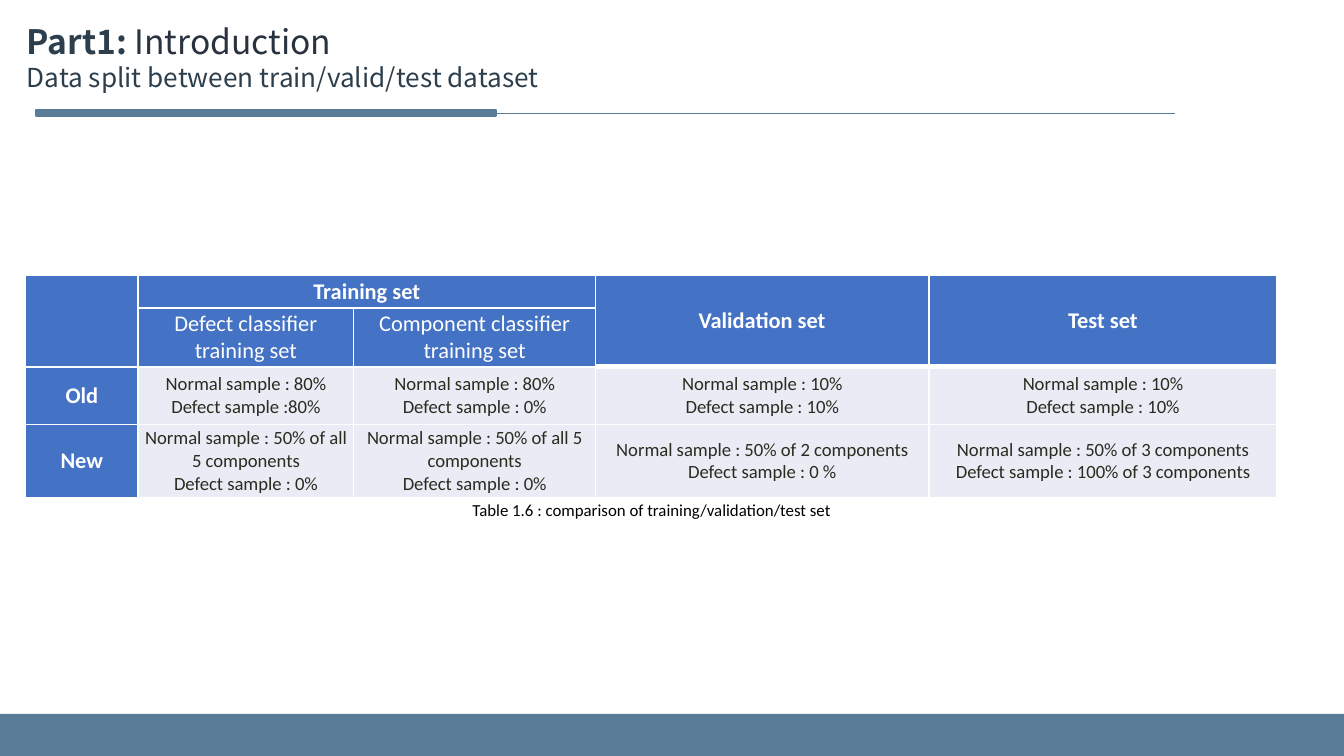
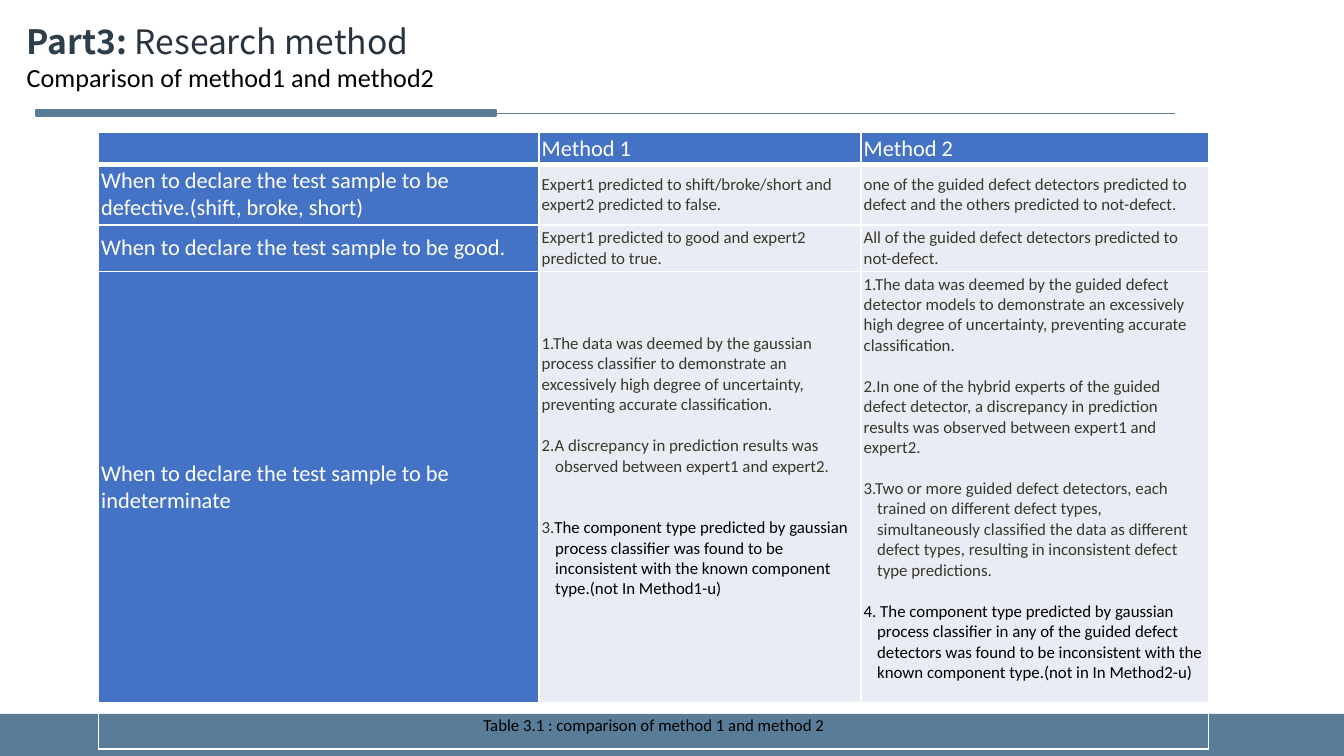
import pptx
import pptx.util
import pptx.dml.color
import pptx.enum.shapes
import pptx.enum.text
import pptx.oxml
import pptx.oxml.ns
from collections import namedtuple
from lxml import etree

Pt = pptx.util.Pt
RGB = pptx.dml.color.RGBColor
qn = pptx.oxml.ns.qn
ALIGN = pptx.enum.text.PP_ALIGN

# Colours and fonts
STEEL = RGB(0x59, 0x7D, 0x98)
SLATE = RGB(0x2D, 0x3F, 0x4C)
INK = RGB(0x29, 0x32, 0x3F)
BLUE = RGB(0x44, 0x72, 0xC4)
PALE = RGB(0xE9, 0xEB, 0xF5)
DARK = RGB(0x29, 0x2C, 0x1F)
OLIVE = RGB(0x36, 0x39, 0x29)
WHITE = RGB(0xFF, 0xFF, 0xFF)
BLACK = RGB(0, 0, 0)
NOTO, BODY = "Noto Sans CJK SC", "Calibri"

WIDE, HIGH = 720, 405
INSET = 1.44
GAP = 11  # one line of 9 pt text

# Text looks
Look = namedtuple("Look", "size color bold font", defaults=(False, BODY))
PART = Look(18, SLATE, True, NOTO)
TITLE = Look(18, INK, False, NOTO)
HEAD = Look(12, WHITE)
STRONG = Look(12, WHITE, True)
DATA = Look(10, DARK)
NOTE = Look(9, OLIVE)
PLAIN = Look(9, BLACK)


def write(para, text, look):
    run = para.add_run()
    run.text = text
    font = run.font
    font.size, font.bold, font.name = Pt(look.size), look.bold, look.font
    font.color.rgb = look.color


def next_para(frame, index):
    return frame.paragraphs[0] if index == 0 else frame.add_paragraph()


# Footer band and the rule under the title
def bar(slide, left, top, width, height, edge=False):
    box = slide.shapes.add_shape(pptx.enum.shapes.MSO_SHAPE.RECTANGLE,
                                 Pt(left), Pt(top), Pt(width), Pt(height))
    box.shadow.inherit = False
    box.fill.solid()
    box.fill.fore_color.rgb = STEEL
    if edge:
        box.line.color.rgb = STEEL
        box.line.width = Pt(1)
    else:
        box.line.fill.background()


def frame(slide):
    bar(slide, 0, HIGH - 22.5, WIDE, 22.5)
    left, top = 19.4, 60.6
    rule = slide.shapes.add_connector(
        pptx.enum.shapes.MSO_CONNECTOR.STRAIGHT,
        Pt(629.3), Pt(top), Pt(left), Pt(top))
    rule.line.color.rgb = STEEL
    rule.line.width = Pt(0.5)
    etree.SubElement(rule._element.spPr, qn("a:effectLst"))
    bar(slide, left, top - 1.8, 246.2, 3.6, edge=True)


def title(slide, box, part, name, sub, look):
    text = slide.shapes.add_textbox(*map(Pt, box)).text_frame
    text.word_wrap = True
    first = text.paragraphs[0]
    write(first, part, PART)
    write(first, name, TITLE)
    write(text.add_paragraph(), sub, look)


# Table parts
def border(cell, thick):
    props = cell._tc.get_or_add_tcPr()
    for side in "LRTB":
        width = thick if side == "B" else 1
        line = etree.SubElement(props, qn("a:ln" + side), w=str(Pt(width)))
        fill = etree.SubElement(line, qn("a:solidFill"))
        etree.SubElement(fill, qn("a:srgbClr"), val=str(WHITE))


def grid(slide, box, cols, rows, thick=()):
    """Add a bordered table; cells listed in thick get a heavy lower edge."""
    table = slide.shapes.add_table(len(rows), len(cols), *map(Pt, box)).table
    table.first_row = table.horz_banding = False
    for col, width in zip(table.columns, cols):
        col.width = Pt(width)
    for r, height in enumerate(rows):
        table.rows[r].height = Pt(height)
        for c in range(len(cols)):
            cell = table.cell(r, c)
            cell.margin_left = cell.margin_right = Pt(INSET)
            cell.margin_top = cell.margin_bottom = Pt(INSET)
            cell.vertical_anchor = pptx.enum.text.MSO_ANCHOR.MIDDLE
            if r < len(rows) - 1 or thick == SPLIT:
                border(cell, 3 if (r, c) in thick else 1)
            # Keeps empty cells from growing their row
            etree.SubElement(cell.text_frame.paragraphs[0]._p,
                             qn("a:endParaRPr"), sz="900")
    return table


def paint(cell, color):
    cell.fill.solid()
    cell.fill.fore_color.rgb = color


def put(cell, lines, look, fill, align=ALIGN.LEFT):
    if fill is None:
        cell.fill.background()
    else:
        paint(cell, fill)
    for i, line in enumerate(lines):
        para = next_para(cell.text_frame, i)
        para.alignment = align
        write(para, line, look)


def items(cell, points, tail):
    """Fill a cell with (gap, hang, runs) points above a free tail."""
    paint(cell, PALE)
    cell.margin_bottom = Pt(INSET + tail)
    for i, (gap, hang, runs) in enumerate(points):
        para = next_para(cell.text_frame, i)
        if gap:
            para.space_before = Pt(gap)
        if hang:
            props = para._p.get_or_add_pPr()
            props.set("marL", str(Pt(7.2)))
            props.set("indent", str(-Pt(7.2)))
        for text, look in runs:
            write(para, text, look)


# Slide 1: data split
SPLIT = ((0, 3), (1, 3), (0, 4), (1, 4))
HEADS = [
    ((0, 0), (1, 0), [], STRONG),
    ((0, 1), (0, 2), ["Training set"], STRONG),
    ((0, 3), (1, 3), ["Validation set"], STRONG),
    ((0, 4), (1, 4), ["Test set"], STRONG),
    ((1, 1), None, ["Defect classifier training set"], HEAD),
    ((1, 2), None, ["Component classifier", "training set"], HEAD),
]
SHARES = [
    ("Old", [("80%", "Defect sample :80%"), ("80%", "Defect sample : 0%"),
             ("10%", "Defect sample : 10%"), ("10%", "Defect sample : 10%")]),
    ("New", [("50% of all 5 components", "Defect sample : 0%"),
             ("50% of all 5 components", "Defect sample : 0%"),
             ("50% of 2 components", "Defect sample : 0 %"),
             ("50% of 3 components", "Defect sample : 100% of 3 components")]),
]


def split(slide, box):
    table = grid(slide, box, (60.3, 115.5, 129.6, 178.5, 186.6),
                 (16, 16, 31, 33, 14.5), SPLIT)
    for start, end, lines, look in HEADS:
        cell = table.cell(*start)
        if end:
            cell.merge(table.cell(*end))
        put(cell, lines, look, BLUE, ALIGN.CENTER)
    for r, (name, shares) in enumerate(SHARES, 2):
        put(table.cell(r, 0), [name], STRONG, BLUE, ALIGN.CENTER)
        for c, (normal, defect) in enumerate(shares, 1):
            put(table.cell(r, c), ["Normal sample : " + normal, defect],
                DATA, PALE, ALIGN.CENTER)
    table.cell(4, 0).merge(table.cell(4, 4))
    put(table.cell(4, 0),
        ["Table 1.6 : comparison of training/validation/test set"],
        PLAIN, WHITE, ALIGN.CENTER)


# Slide 2: comparison of methods
CASES = [
    ("When to declare the test sample to be defective.(shift, broke, short)",
     "Expert1 predicted to shift/broke/short and expert2 predicted to false.",
     "one of the guided defect detectors predicted to defect and the others "
     "predicted to not-defect."),
    ("When to declare the test sample to be good.",
     "Expert1 predicted to good and expert2 predicted to true.",
     "All of the guided defect detectors predicted to not-defect."),
]
FIRST = [
    (0, False, [("1.The data was deemed by the gaussian process classifier to "
                 "demonstrate an excessively high degree of uncertainty, "
                 "preventing accurate classification.", NOTE)]),
    (GAP, True, [("2.A discrepancy in prediction results was observed between "
                  "expert1 and expert2.", NOTE)]),
    (2 * GAP, True, [("3.", NOTE),
                     ("The component type predicted by gaussian process "
                      "classifier was found to be inconsistent with the known "
                      "component type.(not In Method1-u)", PLAIN)]),
]
SECOND = [
    (0, False, [("1.The data was deemed by the guided defect detector models "
                 "to demonstrate an excessively high degree of uncertainty, "
                 "preventing accurate classification.", NOTE)]),
    (GAP, False, [("2.In one of the hybrid experts of the guided defect "
                   "detector, a discrepancy in prediction results was "
                   "observed between expert1 and expert2.", NOTE)]),
    (GAP, True, [("3.Two or more guided defect detectors, each trained on "
                  "different defect types, simultaneously classified the data "
                  "as different defect types, resulting in inconsistent "
                  "defect type predictions.", NOTE)]),
    (GAP, True, [("4. The component type predicted by gaussian process "
                  "classifier in any of the guided defect detectors was found "
                  "to be inconsistent with the known component type.(not in "
                  "In Method2-u)", PLAIN)]),
]


def compare(slide, box):
    table = grid(slide, box, (236, 172.5, 186.2), (17, 32.4, 25, 216, 25),
                 [(0, c) for c in range(3)])
    for c, name in enumerate(([], ["Method 1"], ["Method 2"])):
        put(table.cell(0, c), name, HEAD, BLUE)
    for r, (case, *rules) in enumerate(CASES, 1):
        put(table.cell(r, 0), [case], HEAD, BLUE)
        for c, rule in enumerate(rules, 1):
            put(table.cell(r, c), [rule], NOTE, PALE)
    put(table.cell(3, 0),
        ["When to declare the test sample to be indeterminate"], HEAD, BLUE)
    items(table.cell(3, 1), FIRST, 2 * GAP)
    items(table.cell(3, 2), SECOND, GAP)
    table.cell(4, 0).merge(table.cell(4, 2))
    put(table.cell(4, 0), ["Table 3.1 : comparison of method 1 and method 2"],
        PLAIN, None, ALIGN.CENTER)


def main():
    deck = pptx.Presentation()
    deck.slide_width, deck.slide_height = Pt(WIDE), Pt(HIGH)
    pages = [
        (("Part1: ", "Introduction",
          "Data split between train/valid/test dataset",
          Look(14, SLATE, False, NOTO)),
         (7.2, 7.9, 551, 46), split, (13.7, 147.6, 670.5, 110.5)),
        (("Part3: ", "Research method", "Comparison of method1 and method2",
          Look(14, BLACK)),
         (7.2, 7.9, 686, 63.4), compare, (52.8, 70.8, 594.7, 315.4)),
    ]
    for words, top, body, box in pages:
        slide = deck.slides.add_slide(deck.slide_layouts[6])
        frame(slide)
        title(slide, top, *words)
        body(slide, box)
    deck.save("out.pptx")


if __name__ == "__main__":
    main()
